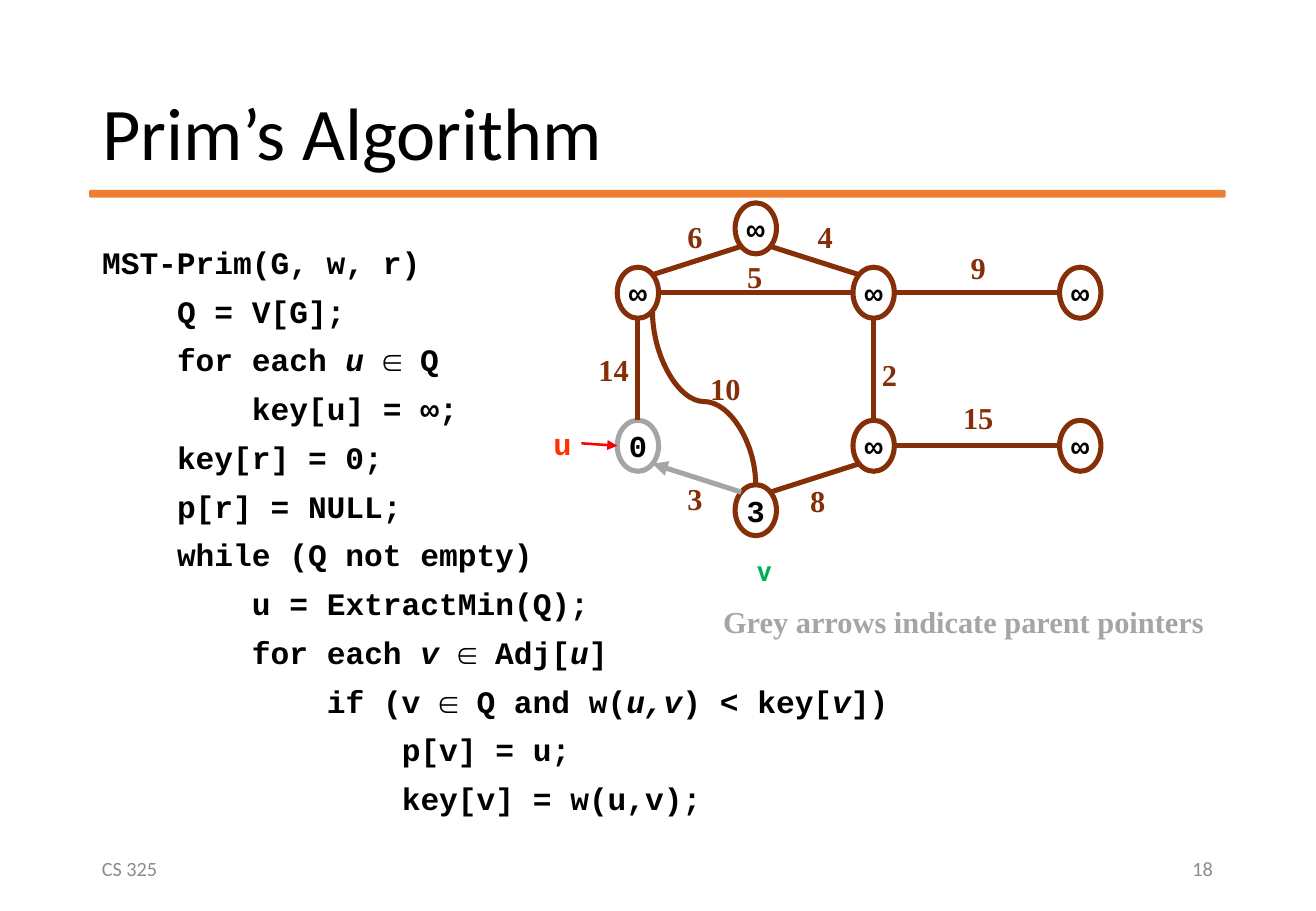
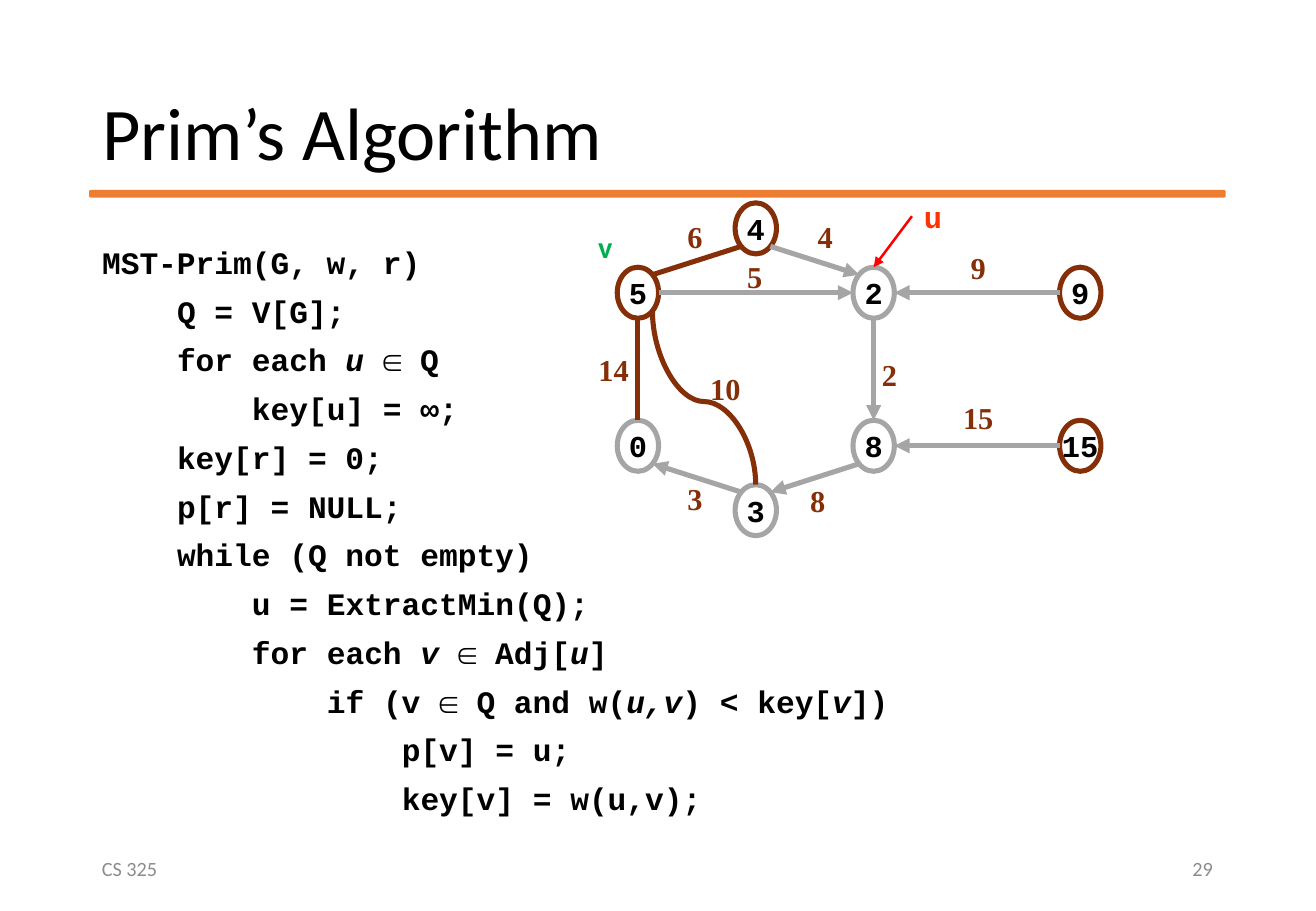
import dataclasses
import math

import lxml.etree
import pptx
import pptx.dml.color
import pptx.enum.shapes
import pptx.enum.text
import pptx.oxml.ns
import pptx.util

Inches = pptx.util.Inches
Pt = pptx.util.Pt
qn = pptx.oxml.ns.qn
ALIGN = pptx.enum.text.PP_ALIGN
ANCHOR = pptx.enum.text.MSO_ANCHOR
SHAPE = pptx.enum.shapes.MSO_SHAPE
CONNECTOR = pptx.enum.shapes.MSO_CONNECTOR


@dataclasses.dataclass(frozen=True)
class Theme:
    black: str = "000000"
    accent: str = "ED7D31"
    brown: str = "852F08"
    grey: str = "A5A5A5"
    footer: str = "8C8C8C"
    current: str = "FF3300"
    arrow: str = "FF0000"
    neighbour: str = "00B050"
    sans: str = "Calibri"
    mono: str = "Courier New"
    serif: str = "Times New Roman"
    title_size: float = 44
    code_size: float = 18.5
    graph_size: float = 18
    footer_size: float = 12
    edge_width: float = 3
    pointer_width: float = 1.5


THEME = Theme()
SLIDE_WIDTH, SLIDE_HEIGHT = 10.83, 7.5
MARGIN, CONTENT_WIDTH = 0.74, 9.34
TITLE_BOX = (MARGIN, 0.4, CONTENT_WIDTH, 1.45)
RULE_BOX = (MARGIN, 1.57, CONTENT_WIDTH, 0.05)
CODE_BOX = (MARGIN, 2, CONTENT_WIDTH, 4.76)
FOOTER_TOP, FOOTER_WIDTH, FOOTER_HEIGHT = 6.95, 2.44, 0.4
GRAPH_ORIGIN = (5.08, 1.67)

# Indent level and text; asterisks enclose italics.
CODE = [
    (0, "MST-Prim(G, w, r)"),
    (1, "Q = V[G];"),
    (1, "for each *u *∈ Q"),
    (2, "key[u] = ∞;"),
    (1, "key[r] = 0;"),
    (1, "p[r] = NULL;"),
    (1, "while (Q not empty)"),
    (2, "u = ExtractMin(Q);"),
    (2, "for each *v *∈ Adj[*u*]"),
    (3, "if (v ∈ Q and w(*u,v*) < key[*v*])"),
    (4, "p[v] = u;"),
    (4, "key[v] = w(u,v);"),
]
CODE_INDENT = 4 * 0.6 * THEME.code_size  # four monospaced characters, in points

# Node centres: columns and rows measured from the graph's origin.
COLUMNS = (0.17, 1.14, 2.11, 3.81)
ROWS = (0.21, 0.74, 2, 2.53)
NODE_WIDTH, NODE_HEIGHT = 0.34, 0.42
NODES = {
    "left": (0, 1), "middle": (2, 1), "right": (3, 1),
    "root": (0, 2), "lower middle": (2, 2), "lower right": (3, 2),
    "bottom": (1, 3), "top": (1, 0),
}
# Connection sites of an ellipse, counter-clockwise from the top.
SITES = ("N", "NW", "W", "SW", "S", "SE", "E", "NE")

# Child, its site, possible parent, its site, weight, centre of the weight.
EDGES = [
    ("top", "SE", "middle", "NW", "4", (1.71, 0.28)),
    ("top", "SW", "left", "NE", "6", (0.64, 0.28)),
    ("left", "E", "middle", "W", "5", (1.13, 0.61)),
    ("left", "S", "root", "N", "14", (-0.03, 1.37)),
    ("bottom", "NW", "root", "SE", "3", (0.64, 2.43)),
    ("lower middle", "SW", "bottom", "NE", "8", (1.65, 2.45)),
    ("middle", "S", "lower middle", "N", "2", (2.24, 1.41)),
    ("right", "W", "middle", "E", "9", (2.97, 0.53)),
    ("lower right", "W", "lower middle", "E", "15", (2.97, 1.77)),
]
CURVE_WEIGHT = ("10", (0.89, 1.53))


@dataclasses.dataclass(frozen=True)
class Step:
    number: str
    keys: dict
    done: set
    parents: dict
    u_centre: tuple
    u_side: int
    u_target: tuple
    v_centre: tuple
    caption: str = ""


STEPS = [
    Step("18", {"root": "0", "bottom": "3"}, {"root"}, {"bottom": "root"},
         (-0.46, 1.98), 3, ("root", "W"), (1.21, 3.02),
         "Grey arrows indicate parent pointers"),
    Step("29",
         {"left": "5", "middle": "2", "right": "9", "root": "0", "bottom": "3",
          "lower middle": "8", "lower right": "15", "top": "4"},
         {"root", "bottom", "middle", "lower middle"},
         {"bottom": "root", "lower middle": "bottom", "middle": "lower middle",
          "top": "middle", "left": "middle", "right": "middle",
          "lower right": "lower middle"},
         (2.59, 0.11), 1, ("middle", "N"), (-0.1, 0.36)),
]


def rgb(colour):
    return pptx.dml.color.RGBColor.from_string(colour)


def inches(box):
    return [Inches(length) for length in box]


def write(paragraph, text, *, size, font, colour=THEME.black, bold=False,
          align=ALIGN.LEFT):
    """Fill a paragraph; parts between asterisks are italic."""
    paragraph.alignment = align
    for index, part in enumerate(text.split("*")):
        run = paragraph.add_run()
        run.text = part
        run.font.size = Pt(size)
        run.font.name = font
        run.font.bold = bold
        run.font.italic = index % 2 == 1
        run.font.color.rgb = rgb(colour)


def add_text(slide, box, text, *, wrap=True, anchor=ANCHOR.TOP, **text_format):
    text_box = slide.shapes.add_textbox(*inches(box))
    text_box.text_frame.word_wrap = wrap
    text_box.text_frame.vertical_anchor = anchor
    write(text_box.text_frame.paragraphs[0], text, **text_format)
    return text_box


def add_label(slide, centre, text, *, width=0.45, height=0.4, font=THEME.serif,
              colour=THEME.brown):
    """Place a bold label around a point given from the graph's origin."""
    left = GRAPH_ORIGIN[0] + centre[0] - width / 2
    top = GRAPH_ORIGIN[1] + centre[1] - height / 2
    return add_text(slide, (left, top, width, height), text, wrap=False,
                    size=THEME.graph_size, font=font, colour=colour, bold=True,
                    align=ALIGN.CENTER)


def style_connector(connector, colour, width, arrow=False):
    connector.line.color.rgb = rgb(colour)
    connector.line.width = Pt(width)
    properties = connector.element.spPr
    if arrow:
        lxml.etree.SubElement(properties.find(qn("a:ln")), qn("a:tailEnd"),
                              type="triangle")
    lxml.etree.SubElement(properties, qn("a:effectLst"))


def site_point(name, site):
    """Position of a connection site on a node's outline."""
    column, row = NODES[name]
    angle = math.pi / 4 * SITES.index(site)
    x = GRAPH_ORIGIN[0] + COLUMNS[column] - NODE_WIDTH / 2 * math.sin(angle)
    y = GRAPH_ORIGIN[1] + ROWS[row] - NODE_HEIGHT / 2 * math.cos(angle)
    return Inches(x), Inches(y)


def glue(connector, tag, node, site):
    """Join a connector's end to one of the eight sites of an ellipse."""
    lxml.etree.SubElement(connector.element.nvCxnSpPr.cNvCxnSpPr, qn(tag),
                          id=str(node.shape_id), idx=str(SITES.index(site)))


def add_node(slide, name, step):
    column, row = NODES[name]
    left = GRAPH_ORIGIN[0] + COLUMNS[column] - NODE_WIDTH / 2
    top = GRAPH_ORIGIN[1] + ROWS[row] - NODE_HEIGHT / 2
    node = slide.shapes.add_shape(
        SHAPE.OVAL, *inches((left, top, NODE_WIDTH, NODE_HEIGHT)))
    node.shadow.inherit = False
    node.fill.background()
    node.line.color.rgb = rgb(THEME.grey if name in step.done else THEME.brown)
    node.line.width = Pt(THEME.edge_width)
    frame = node.text_frame
    frame.word_wrap = False
    frame.vertical_anchor = ANCHOR.MIDDLE
    frame.margin_left = frame.margin_right = 0
    frame.margin_top = frame.margin_bottom = 0
    write(frame.paragraphs[0], step.keys.get(name, "∞"), size=THEME.graph_size,
          font=THEME.mono, bold=True, align=ALIGN.CENTER)
    return node


def add_curved_edge(slide):
    """Curve that leaves the bottom node upwards and ends at the left node."""
    start_x, start_y = site_point("bottom", "N")
    end_x, end_y = site_point("left", "SE")
    length, breadth = start_y - end_y, start_x - end_x
    left = (start_x + end_x - length) // 2
    top = (start_y + end_y - breadth) // 2
    curve = slide.shapes.add_connector(CONNECTOR.CURVE, left + length, top,
                                       left, top + breadth)
    properties = curve.element.spPr
    properties.find(qn("a:xfrm")).set("rot", str(90 * 60000))
    adjustments = properties.find(qn("a:prstGeom")).find(qn("a:avLst"))
    lxml.etree.SubElement(adjustments, qn("a:gd"), name="adj1", fmla="val 47800")
    style_connector(curve, THEME.brown, THEME.edge_width)


def add_pointer(slide, nodes, step):
    """Mark the current vertex u with a letter and an arrow."""
    label = add_label(slide, step.u_centre, "u", width=0.33, font=THEME.mono,
                      colour=THEME.current)
    target, site = step.u_target
    end = site_point(target, site)
    arrow = slide.shapes.add_connector(CONNECTOR.STRAIGHT, *end, *end)
    arrow.begin_connect(label, step.u_side)
    glue(arrow, "a:endCxn", nodes[target], site)
    style_connector(arrow, THEME.arrow, THEME.pointer_width, arrow=True)


def add_graph(slide, step):
    nodes = {name: add_node(slide, name, step) for name in NODES}
    for child, child_site, parent, parent_site, _, _ in EDGES:
        in_tree = step.parents.get(child) == parent
        edge = slide.shapes.add_connector(
            CONNECTOR.STRAIGHT, *site_point(child, child_site),
            *site_point(parent, parent_site))
        glue(edge, "a:stCxn", nodes[child], child_site)
        glue(edge, "a:endCxn", nodes[parent], parent_site)
        style_connector(edge, THEME.grey if in_tree else THEME.brown,
                        THEME.edge_width, arrow=in_tree)
    add_curved_edge(slide)
    for weight, centre in [edge[4:] for edge in EDGES] + [CURVE_WEIGHT]:
        add_label(slide, centre, weight)
    if step.caption:
        add_label(slide, (2.85, 3.45), step.caption, width=4.2, colour=THEME.grey)
    add_pointer(slide, nodes, step)
    add_label(slide, step.v_centre, "v", width=0.32, font=THEME.sans,
              colour=THEME.neighbour)


def place(shape, box):
    shape.left, shape.top, shape.width, shape.height = inches(box)


def add_title(slide):
    title = slide.shapes.title
    place(title, TITLE_BOX)
    title.text_frame.vertical_anchor = ANCHOR.MIDDLE
    paragraph = title.text_frame.paragraphs[0]
    paragraph.line_spacing = 0.9
    write(paragraph, "Prim’s Algorithm", size=THEME.title_size, font=THEME.sans)


def add_code(slide):
    body = slide.placeholders[1]
    place(body, CODE_BOX)
    frame = body.text_frame
    frame.auto_size = pptx.enum.text.MSO_AUTO_SIZE.NONE
    for index, (level, text) in enumerate(CODE):
        paragraph = frame.add_paragraph() if index else frame.paragraphs[0]
        write(paragraph, text, size=THEME.code_size, font=THEME.mono, bold=True)
        paragraph.line_spacing = 0.85
        paragraph.space_before = Pt(10)
        properties = paragraph._p.get_or_add_pPr()
        properties.set("marL", str(int(Pt(level * CODE_INDENT))))
        properties.set("indent", "0")
        lxml.etree.SubElement(properties, qn("a:buNone"))


def add_footer(slide, number):
    right = MARGIN + CONTENT_WIDTH - FOOTER_WIDTH
    for left, text, align in ((MARGIN, "CS 325", ALIGN.LEFT),
                              (right, number, ALIGN.RIGHT)):
        add_text(slide, (left, FOOTER_TOP, FOOTER_WIDTH, FOOTER_HEIGHT), text,
                 anchor=ANCHOR.MIDDLE, size=THEME.footer_size, font=THEME.sans,
                 colour=THEME.footer, align=align)


def move_rule_to_master(presentation, slide):
    """Draw the title rule and hand it to the master, which all slides share."""
    rule = slide.shapes.add_shape(SHAPE.ROUNDED_RECTANGLE, *inches(RULE_BOX))
    rule.shadow.inherit = False
    rule.fill.solid()
    rule.fill.fore_color.rgb = rule.line.color.rgb = rgb(THEME.accent)
    rule.line.width = Pt(1)
    rule.element.nvSpPr.cNvPr.set("id", "20")
    presentation.slide_master.element.cSld.spTree.append(rule.element)


def main():
    presentation = pptx.Presentation()
    presentation.slide_width = Inches(SLIDE_WIDTH)
    presentation.slide_height = Inches(SLIDE_HEIGHT)
    for step in STEPS:
        slide = presentation.slides.add_slide(presentation.slide_layouts[1])
        add_title(slide)
        add_code(slide)
        add_graph(slide, step)
        add_footer(slide, step.number)
    move_rule_to_master(presentation, presentation.slides[0])
    presentation.save("out.pptx")


if __name__ == "__main__":
    main()
